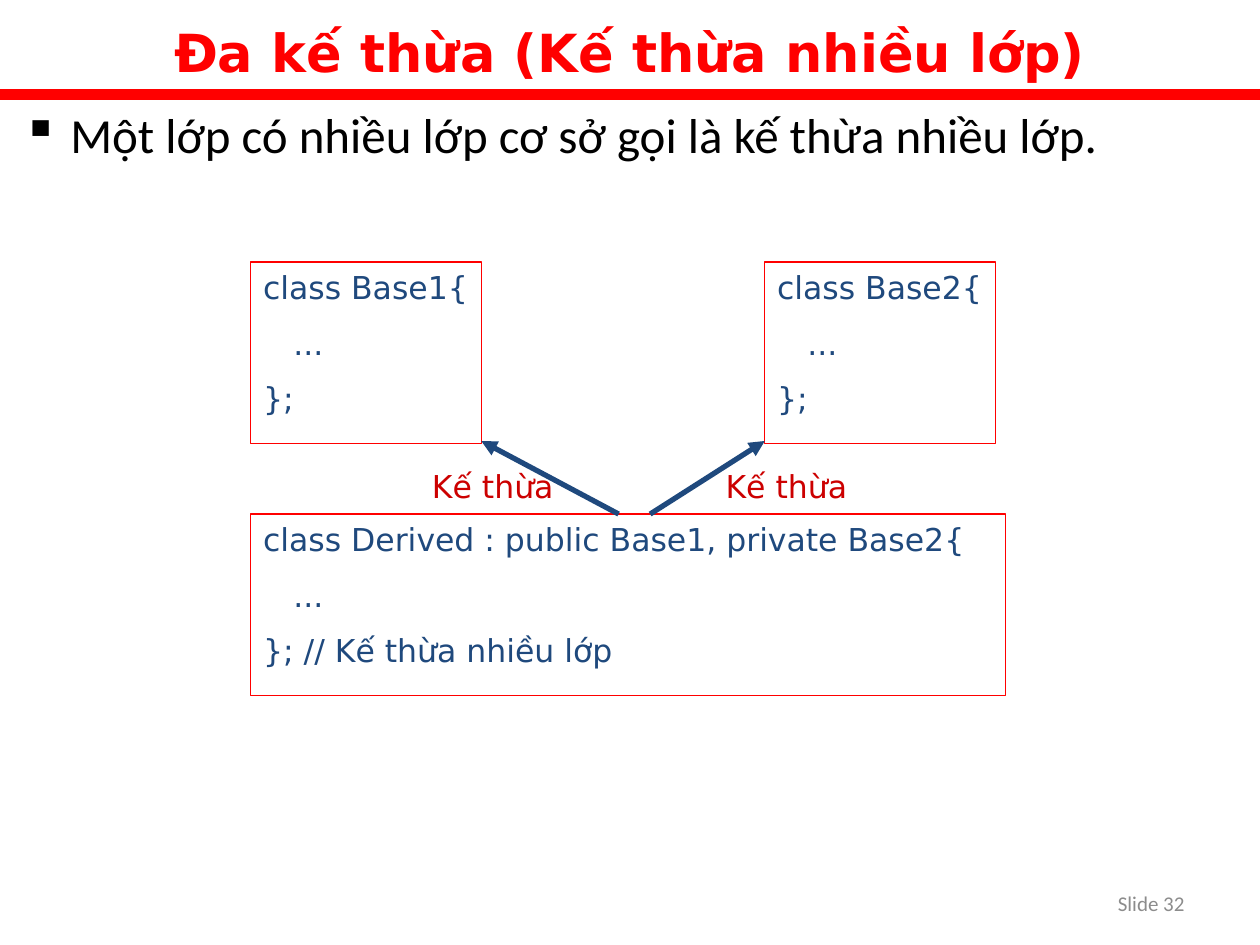
from dataclasses import dataclass

from lxml.etree import SubElement
from pptx import Presentation
from pptx.dml.color import RGBColor
from pptx.enum.shapes import MSO_CONNECTOR, MSO_SHAPE
from pptx.enum.text import MSO_ANCHOR, MSO_AUTO_SIZE, PP_ALIGN
from pptx.oxml.ns import qn
from pptx.util import Inches, Pt


@dataclass(frozen=True)
class Theme:
    """Colours, fonts and type sizes of the slide."""
    red: str = "FF0000"
    label_red: str = "CC0000"
    navy: str = "1F497D"
    black: str = "000000"
    grey: str = "8C8C8C"
    heading_font: str = "DejaVu Sans"
    body_font: str = "Calibri"
    title_size: int = 30
    body_size: int = 28
    code_size: int = 18
    footer_size: int = 12


THEME = Theme()


def add_run(paragraph, text, size, color, font, bold=False):
    """Append one formatted run to a paragraph."""
    run = paragraph.add_run()
    run.text = text
    run.font.size = Pt(size)
    run.font.name = font
    run.font.bold = bold
    run.font.color.rgb = RGBColor.from_string(color)


def add_text(slide, box, text, size, color, font, align=PP_ALIGN.LEFT, anchor=MSO_ANCHOR.TOP):
    """Add a wrapped one-paragraph text box and return its paragraph."""
    frame = slide.shapes.add_textbox(*map(Inches, box)).text_frame
    frame.word_wrap = True
    frame.vertical_anchor = anchor
    paragraph = frame.paragraphs[0]
    paragraph.alignment = align
    add_run(paragraph, text, size, color, font)
    return paragraph


def add_line(slide, start, end, color, width, arrow=False):
    """Draw a straight line, with an arrowhead at its end if asked."""
    line = slide.shapes.add_connector(MSO_CONNECTOR.STRAIGHT, *map(Inches, (*start, *end)))
    line.line.color.rgb = RGBColor.from_string(color)
    line.line.width = Pt(width)
    properties = line._element.spPr
    if arrow:
        SubElement(properties.find(qn("a:ln")), qn("a:tailEnd"), type="triangle")
    SubElement(properties, qn("a:effectLst"))


def add_heading(slide, box, text):
    """Format the title in its box and rule a red bar across the slide."""
    left, top, width, height = box
    title = slide.shapes.title
    title.left, title.top, title.width, title.height = map(Inches, box)
    frame = title.text_frame
    frame.auto_size = MSO_AUTO_SIZE.NONE
    frame.vertical_anchor = MSO_ANCHOR.TOP
    frame.margin_top = Inches(0.08)
    paragraph = frame.paragraphs[0]
    paragraph.alignment = PP_ALIGN.CENTER
    add_run(paragraph, text, THEME.title_size, THEME.red, THEME.heading_font, bold=True)
    bar = top + height - 0.04
    add_line(slide, (left, bar), (left + width, bar), THEME.red, 6)


def add_statement(slide, box, text):
    """Add the bulleted definition."""
    paragraph = add_text(slide, box, text, THEME.body_size, THEME.black, THEME.body_font)
    properties = paragraph._p.get_or_add_pPr()
    properties.set("marL", str(Inches(0.38)))
    properties.set("indent", str(-Inches(0.38)))
    SubElement(properties, qn("a:buChar"), char="▪")


def add_class_box(slide, box, opening, closing):
    """Add an outlined box holding a class declaration."""
    shape = slide.shapes.add_shape(MSO_SHAPE.RECTANGLE, *map(Inches, box))
    shape.shadow.inherit = False
    shape.fill.background()
    shape.line.color.rgb = RGBColor.from_string(THEME.red)
    shape.line.width = Pt(0.75)
    frame = shape.text_frame
    frame.word_wrap = True
    frame.vertical_anchor = MSO_ANCHOR.TOP
    for index, (code, indent) in enumerate([(opening, 0), ("...", 0.24), (closing, 0)]):
        paragraph = frame.add_paragraph() if index else frame.paragraphs[0]
        paragraph.alignment = PP_ALIGN.LEFT
        paragraph.space_before = Pt(10 if index else 0)
        paragraph._p.get_or_add_pPr().set("marL", str(Inches(indent)))
        add_run(paragraph, code, THEME.code_size, THEME.navy, THEME.heading_font)


def add_inheritance_diagram(slide, box):
    """Draw two base classes above the class derived from both."""
    left, top, width, height = box
    base_width, class_height, base_step = 1.83, 1.44, 4.08
    derived_top = top + height - class_height
    arrow_top = top + 1.42
    bases = [
        ("class Base1{", 0, base_width, 2.92, 1.34),
        ("class Base2{", base_step, 0, 3.17, 3.67),
    ]
    add_class_box(slide, (left, derived_top, width, class_height),
                  "class Derived : public Base1, private Base2{", "}; // Kế thừa nhiều lớp")
    for opening, offset, corner, arrow_start, label in bases:
        base_left = left + offset
        add_class_box(slide, (base_left, top, base_width, class_height), opening, "};")
        add_line(slide, (left + arrow_start, derived_top), (base_left + corner, arrow_top),
                 THEME.navy, 3, arrow=True)
        add_text(slide, (left + label, top + 1.58, 1.58, 0.43), "Kế thừa",
                 THEME.code_size, THEME.label_red, THEME.heading_font)


def add_slide_number(slide, box, text):
    """Add the slide number at the lower right."""
    add_text(slide, box, text, THEME.footer_size, THEME.grey, THEME.body_font,
             PP_ALIGN.RIGHT, MSO_ANCHOR.MIDDLE)


def build():
    """Build and save the slide."""
    deck = Presentation()
    deck.slide_width, deck.slide_height = Inches(10), Inches(7.5)
    slide = deck.slides.add_slide(deck.slide_layouts[5])
    add_heading(slide, (0, 0.08, 10, 0.71), "Đa kế thừa (Kế thừa nhiều lớp)")
    add_statement(slide, (0.08, 0.78, 9.61, 4.8),
                  "Một lớp có nhiều lớp cơ sở gọi là kế thừa nhiều lớp.")
    add_inheritance_diagram(slide, (1.99, 2.08, 5.99, 3.44))
    add_slide_number(slide, (7.42, 6.92, 2.08, 0.5), "Slide 32")
    deck.save("out.pptx")


build()
